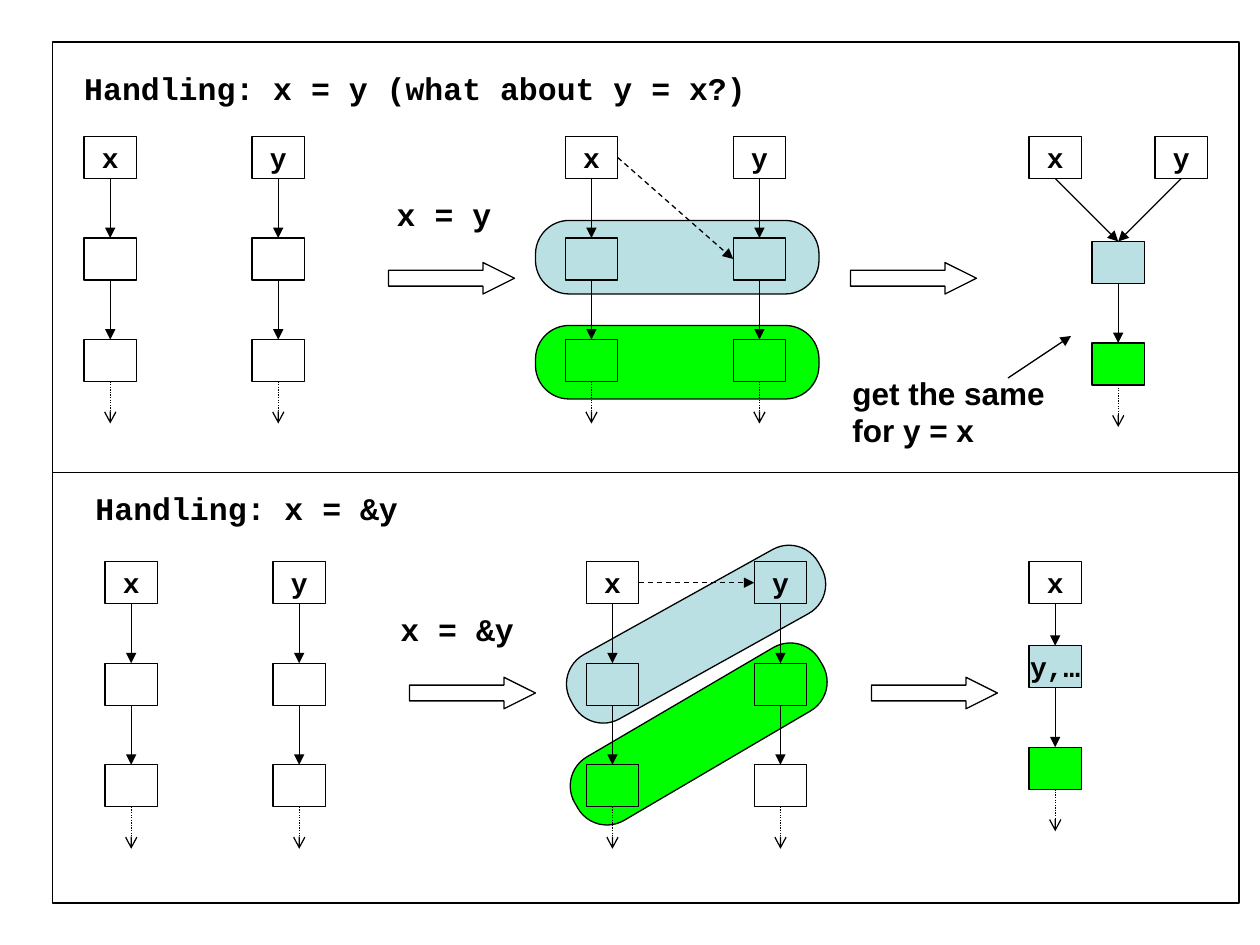
import pptx
import pptx.dml.color
import pptx.enum.dml
import pptx.enum.shapes
import pptx.enum.text
import pptx.oxml.ns
import pptx.util
from lxml import etree

THEME = {
    "ink": "000000", "blue": "BBE0E3", "green": "00FF00",
    "code": "Courier New", "prose": "Arial",
    "heading": 18, "label": 16, "line": 0.75,
}
SHAPES = pptx.enum.shapes.MSO_SHAPE
DASHES = pptx.enum.dml.MSO_LINE
COLUMNS, ROWS = 120, 90
BOX_WIDTH, BOX_HEIGHT, BOX_STEP = 5, 4, 9.67

presentation = pptx.Presentation()
presentation.slide_width = pptx.util.Inches(10)
presentation.slide_height = pptx.util.Inches(7.5)
slide = presentation.slides.add_slide(presentation.slide_layouts[6])
column = presentation.slide_width / COLUMNS
row = presentation.slide_height / ROWS
ink = pptx.dml.color.RGBColor.from_string(THEME["ink"])


def draw(text, left, top, width, height, kind=None, fill=None, size=THEME["heading"],
         font=THEME["code"], wrap=False, rotation=0, adjustments=()):
    """Place a shape on the grid, or a plain text box when no kind is given."""
    place = [int(left * column), int(top * row), int(width * column), int(height * row)]
    if kind is None:
        shape = slide.shapes.add_textbox(*place)
    else:
        shape = slide.shapes.add_shape(kind, *place)
        shape.shadow.inherit = False
        shape.rotation = rotation
        shape.line.color.rgb = ink
        shape.line.width = pptx.util.Pt(THEME["line"])
        if fill:
            shape.fill.solid()
            shape.fill.fore_color.rgb = pptx.dml.color.RGBColor.from_string(THEME[fill])
        else:
            shape.fill.background()
        for index, value in enumerate(adjustments):
            shape.adjustments[index] = value
    if text:
        shape.text_frame.word_wrap = wrap
        paragraph = shape.text_frame.paragraphs[0]
        alignments = pptx.enum.text.PP_ALIGN
        paragraph.alignment = alignments.CENTER if kind else alignments.LEFT
        run = paragraph.add_run()
        run.text = text
        run.font.name = font
        run.font.size = pptx.util.Pt(size)
        run.font.bold = True
        run.font.color.rgb = ink


def draw_arrow(start_x, start_y, end_x, end_y, dash=None, head="triangle"):
    connector = slide.shapes.add_connector(
        pptx.enum.shapes.MSO_CONNECTOR.STRAIGHT,
        int(start_x * column), int(start_y * row), int(end_x * column), int(end_y * row))
    connector.line.color.rgb = ink
    connector.line.width = pptx.util.Pt(THEME["line"])
    if dash:
        connector.line.dash_style = dash
    outline = connector.line._get_or_add_ln()
    etree.SubElement(outline, pptx.oxml.ns.qn("a:tailEnd"), type=head)
    etree.SubElement(connector._element.spPr, pptx.oxml.ns.qn("a:effectLst"))


# Panels
for panel_top in (4, 45):
    draw("", 5, panel_top, 113, 41, SHAPES.RECTANGLE)

# Pills around the cells that are merged: left, top, rotation, fill
for left, top, rotation, fill in (
    (51, 31, 0, "green"),
    (51, 21, 0, "blue"),
    (53.04, 66.4, 329.6, "green"),
    (52.8, 56.9, 330.9, "blue"),
):
    draw("", left, top, 27, 7, SHAPES.ROUNDED_RECTANGLE, fill, rotation=rotation,
         adjustments=[0.458])

# Pointer chains: left, top of each box, labels, fills
upper_tops = [13 + step * BOX_STEP for step in range(3)]
lower_tops = [top + 40.5 for top in upper_tops]
plain = (None, None, None)
chains = [
    (98, [53.5, 61.5, 61.5 + BOX_STEP], ("x", "y,…", ""), (None, "blue", "green")),
    (104, [23, 23 + BOX_STEP], ("", ""), ("blue", "green")),
]
for tops, offset in ((upper_tops, 0), (lower_tops, 2)):
    for left, name in ((8, "x"), (24, "y"), (53.83, "x"), (69.83, "y")):
        chains.append((left + offset, tops, (name, "", ""), plain))

for left, tops, labels, fills in chains:
    middle = left + BOX_WIDTH / 2
    for top, label, fill in zip(tops, labels, fills):
        draw(label, left, top, BOX_WIDTH, BOX_HEIGHT, SHAPES.RECTANGLE, fill,
             size=THEME["label"])
    for top, next_top in zip(tops, tops[1:]):
        draw_arrow(middle, top + BOX_HEIGHT, middle, next_top)
    end = tops[-1] + BOX_HEIGHT
    draw_arrow(middle, end, middle, end + 4, DASHES.ROUND_DOT, "arrow")

# Two variables that share the merged chain
for left, name in ((98, "x"), (110, "y")):
    draw(name, left, 13, BOX_WIDTH, BOX_HEIGHT, SHAPES.RECTANGLE, size=THEME["label"])
    draw_arrow(left + BOX_WIDTH / 2, 17, 106.5, 23)

# New pointers made by each assignment
draw_arrow(58.83, 15, 69.83, 24.67, DASHES.DASH)
draw_arrow(60.83, 55.5, 71.83, 55.5, DASHES.DASH)

# Block arrows between the stages
for left, top in ((37, 25), (81, 25), (39, 64.5), (83, 64.5)):
    draw("", left, top, 12, 3, SHAPES.RIGHT_ARROW, adjustments=[0.5, 1])

# Headings, captions and the remark
for text, left, top, width in (
    ("Handling: x = y (what about y = x?)", 6.84, 6, 65.4),
    ("x = y", 36.6, 18, 11.4),
    ("Handling: x = &y", 7.92, 46, 31.2),
    ("x = &y", 36.96, 57.5, 13.2),
):
    draw(text, left, top, width, 4.8)
draw("get the same for y = x", 80, 35, 22, 8.4, font=THEME["prose"], wrap=True)
draw_arrow(96, 36, 102, 32)

presentation.save("out.pptx")
